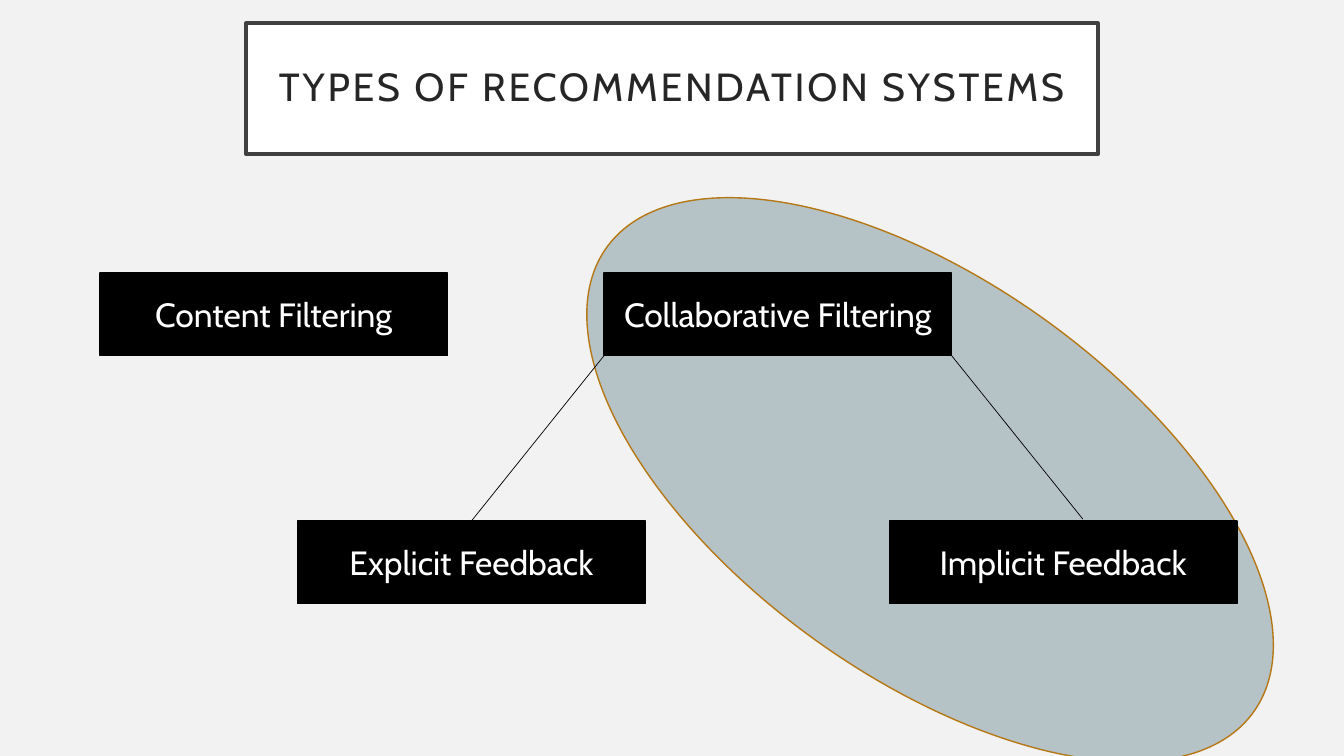
import pptx
import pptx.dml.color
import pptx.enum.shapes
import pptx.enum.text
import pptx.oxml
import pptx.oxml.ns
import pptx.util
from pptx.util import Inches

COLORS = {
    "background": "F2F2F2",
    "white": "FFFFFF",
    "black": "000000",
    "frame": "404040",
    "title": "262626",
    "highlight": "6B8891",
    "outline": "B67815",
}
BOX_WIDTH, BOX_HEIGHT = 3.45, 0.82
TOP_ROW, BOTTOM_ROW = 2.71, 5.17


class SlideBuilder:
    def __init__(self, slide, font_name="Cabin"):
        self.slide = slide
        self.font_name = font_name

    def color(self, name):
        return pptx.dml.color.RGBColor.from_string(COLORS[name])

    def background(self, name):
        fill = self.slide.background.fill
        fill.solid()
        fill.fore_color.rgb = self.color(name)

    def shape(self, kind, bounds, fill, line, line_width):
        shape = self.slide.shapes.add_shape(kind, *map(Inches, bounds))
        shape.shadow.inherit = False
        shape.fill.solid()
        shape.fill.fore_color.rgb = self.color(fill)
        shape.line.color.rgb = self.color(line)
        shape.line.width = pptx.util.Pt(line_width)
        return shape

    def rectangle(self, bounds, fill, line, line_width):
        kind = pptx.enum.shapes.MSO_SHAPE.RECTANGLE
        return self.shape(kind, bounds, fill, line, line_width)

    def text(self, shape, text, size, color):
        frame = shape.text_frame
        frame.word_wrap = True
        frame.vertical_anchor = pptx.enum.text.MSO_ANCHOR.MIDDLE
        paragraph = frame.paragraphs[0]
        paragraph.alignment = pptx.enum.text.PP_ALIGN.CENTER
        run = paragraph.add_run()
        run.text = text
        run.font.name = self.font_name
        run.font.size = pptx.util.Pt(size)
        run.font.color.rgb = self.color(color)
        return paragraph

    def title(self, text, bounds):
        shape = self.rectangle(bounds, "white", "frame", 2.5)
        frame = shape.text_frame
        frame.margin_left = frame.margin_right = Inches(0.2)
        frame.margin_top = frame.margin_bottom = Inches(0.2)
        paragraph = self.text(shape, text, 28, "title")
        paragraph.line_spacing = 0.9
        # Letter spacing in hundredths of a point
        paragraph.runs[0].font._element.set("spc", "200")

    def highlight(self, bounds, rotation, opacity):
        kind = pptx.enum.shapes.MSO_SHAPE.OVAL
        shape = self.shape(kind, bounds, "highlight", "outline", 1)
        shape.rotation = rotation
        fill = shape._element.spPr.find(pptx.oxml.ns.qn("a:solidFill"))
        alpha = pptx.oxml.parse_xml(
            f'<a:alpha {pptx.oxml.ns.nsdecls("a")} val="{opacity * 1000}"/>')
        fill[0].append(alpha)

    def box(self, text, left, top):
        bounds = (left, top, BOX_WIDTH, BOX_HEIGHT)
        shape = self.rectangle(bounds, "black", "black", 1)
        self.text(shape, text, 24, "white")

    def line(self, start, end):
        connector = self.slide.shapes.add_connector(
            pptx.enum.shapes.MSO_CONNECTOR.STRAIGHT, *map(Inches, start + end))
        connector.line.color.rgb = self.color("black")
        connector.line.width = pptx.util.Pt(0.5)
        connector._element.spPr.append(pptx.oxml.parse_xml(
            f'<a:effectLst {pptx.oxml.ns.nsdecls("a")}/>'))


def main():
    presentation = pptx.Presentation()
    presentation.slide_width = Inches(13.33)
    presentation.slide_height = Inches(7.5)
    slide = presentation.slides.add_slide(presentation.slide_layouts[6])
    builder = SlideBuilder(slide)

    # Background, title and highlighted branch
    builder.background("background")
    builder.title("TYPES OF RECOMMENDATION SYSTEMS", (2.44, 0.23, 8.45, 1.3))
    builder.highlight((7.27, 0.81, 3.91, 7.9), rotation=305.7, opacity=45)

    # Boxes of the tree
    collaborative_left, explicit_left = 5.99, 2.95
    builder.box("Content Filtering", 0.99, TOP_ROW)
    builder.box("Collaborative Filtering", collaborative_left, TOP_ROW)
    builder.box("Explicit Feedback", explicit_left, BOTTOM_ROW)
    builder.box("Implicit Feedback", 8.82, BOTTOM_ROW)

    # Branches from the lower corners of the parent box
    parent_bottom = TOP_ROW + BOX_HEIGHT
    builder.line((collaborative_left, parent_bottom),
                 (explicit_left + BOX_WIDTH / 2, BOTTOM_ROW))
    builder.line((collaborative_left + BOX_WIDTH, parent_bottom), (10.74, 5.15))

    presentation.save("out.pptx")


if __name__ == "__main__":
    main()
